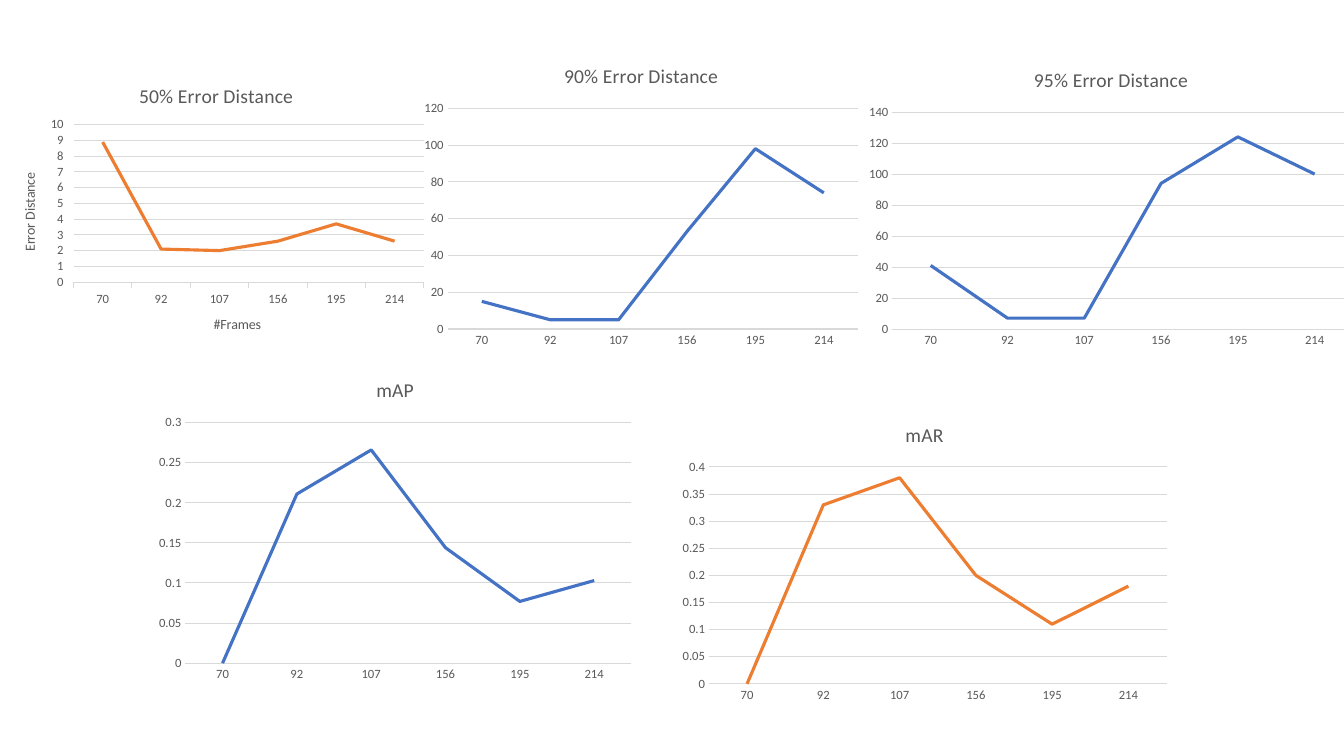
from lxml import etree
from pptx import Presentation
from pptx.chart.data import CategoryChartData
from pptx.dml.color import RGBColor
from pptx.enum import chart as ch
from pptx.oxml import ns
from pptx.util import Inches, Pt

GREY, RULE, BLUE, ORANGE = "595959", "D9D9D9", "4472C4", "ED7D31"
FRAMES = ["70", "92", "107", "156", "195", "214"]


def rgb(value):
    return RGBColor.from_string(value)


def set_title(owner, label, size):
    tf = owner.text_frame
    tf.text = label
    font = tf.paragraphs[0].runs[0].font
    font.name, font.size, font.bold = "Calibri", Pt(size), False
    font.color.rgb = rgb(GREY)


prs = Presentation()
prs.slide_width, prs.slide_height = Inches(13.33), Inches(7.5)
s = prs.slides.add_slide(prs.slide_layouts[6])

panels = [
    ("50% Error Distance", (0, 0.67, 4.29, 2.84), ORANGE, (10, 1), "0",
     [8.9, 2.1, 2, 2.6, 3.7, 2.6]),
    ("90% Error Distance", (4.12, 0.47, 4.48, 3.04), BLUE, (120, 20), "0",
     [15, 5, 5, 53, 98, 74]),
    ("95% Error Distance", (8.52, 0.51, 5, 3), BLUE, (140, 20), "0",
     [41, 7, 7, 94, 124, 100]),
    ("mAP", (1.48, 3.58, 4.88, 3.25), BLUE, (0.3, 0.05), "General",
     [0, 0.211, 0.266, 0.144, 0.077, 0.103]),
    ("mAR", (6.67, 4.03, 5, 3), ORANGE, (0.4, 0.05), "General",
     [0, 0.33, 0.38, 0.2, 0.11, 0.18]),
]

for name, box, color, (top, step), fmt, values in panels:
    data = CategoryChartData()
    data.categories = FRAMES
    data.add_series(name, values)
    frame = s.shapes.add_chart(ch.XL_CHART_TYPE.LINE, *map(Inches, box), data)
    chart = frame.chart
    chart.font.name, chart.font.size = "Calibri", Pt(10)
    chart.has_legend = False
    chart.has_title = True
    set_title(chart.chart_title, name, 14)
    chart.chart_title.include_in_layout = False

    plot = chart.plots[0]
    plot.vary_by_categories = False
    line = plot.series[0]
    line.smooth = False
    line.format.line.color.rgb = rgb(color)
    line.format.line.width = Pt(2.25)
    line.marker.style = ch.XL_MARKER_STYLE.NONE

    cat, val = chart.category_axis, chart.value_axis
    for axis in (cat, val):
        axis.major_tick_mark = axis.minor_tick_mark = ch.XL_TICK_MARK.NONE
        font = axis.tick_labels.font
        font.name, font.size = "Calibri", Pt(9)
        font.color.rgb = rgb(GREY)
    val.minimum_scale, val.maximum_scale, val.major_unit = 0, top, step
    val.tick_labels.number_format = fmt
    val.tick_labels.number_format_is_linked = False
    val.format.line.fill.background()
    val.has_major_gridlines = True
    for rule in (cat.format.line, val.major_gridlines.format.line):
        rule.color.rgb = rgb(RULE)
        rule.width = Pt(0.75)

    if name.startswith("50%"):
        for axis, label in ((cat, "#Frames"), (val, "Error Distance")):
            axis.major_tick_mark = ch.XL_TICK_MARK.OUTSIDE
            set_title(axis.axis_title, label, 10)
        area = chart.element.find(".//" + ns.qn("c:plotArea"))
        layout = area.find(ns.qn("c:layout"))
        if layout is None:
            layout = etree.Element(ns.qn("c:layout"))
            area.insert(0, layout)
        manual = etree.SubElement(layout, ns.qn("c:manualLayout"))
        for tag, setting in [("layoutTarget", "inner"), ("xMode", "edge"),
                             ("yMode", "edge"), ("x", "0.17"), ("y", "0.2"),
                             ("w", "0.81"), ("h", "0.55")]:
            etree.SubElement(manual, ns.qn("c:" + tag)).set("val", setting)

prs.save("out.pptx")
